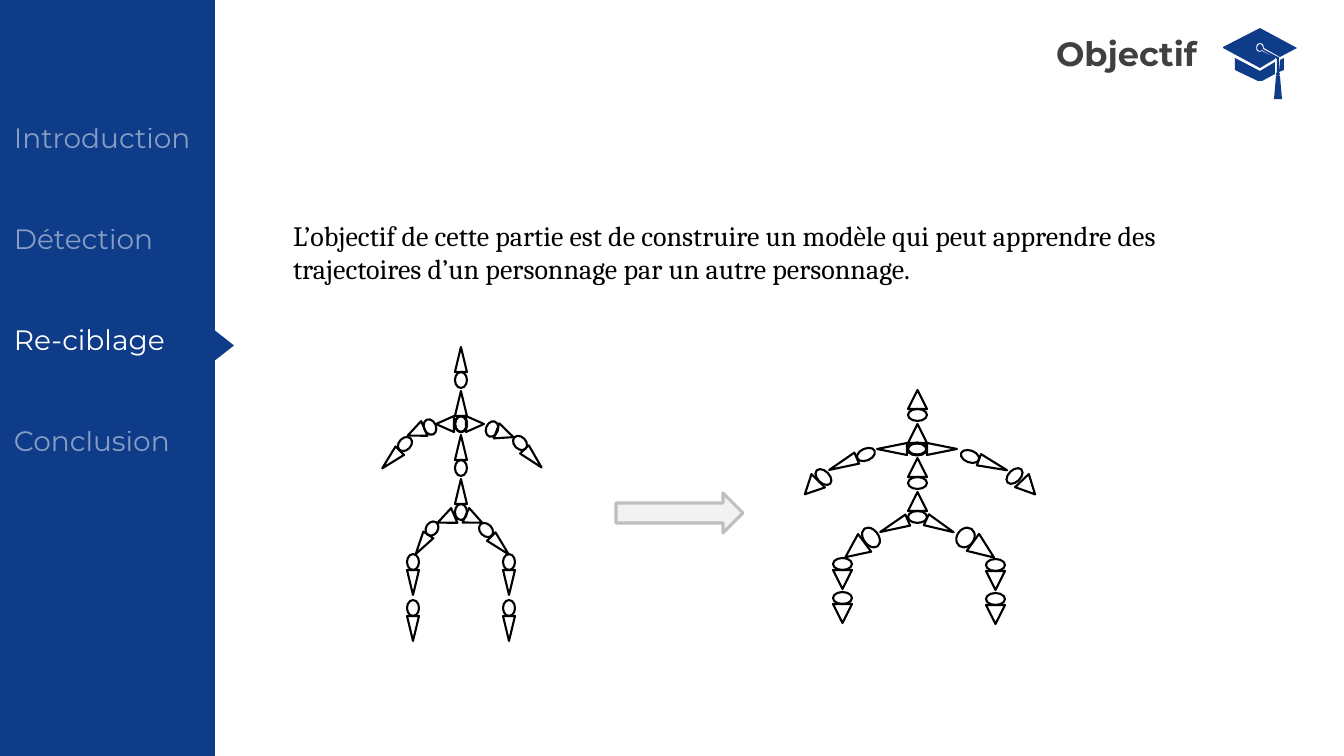
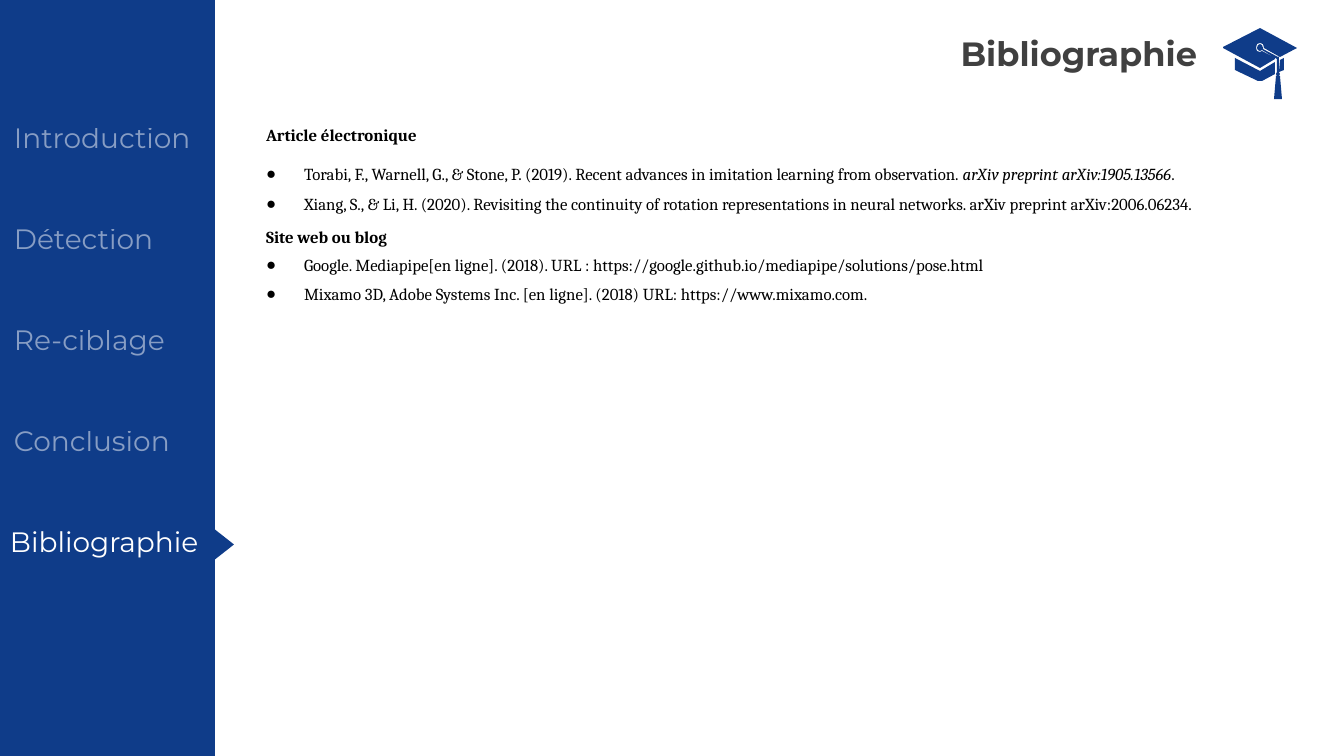
import pptx
import pptx.util
import pptx.dml.color
import pptx.enum.shapes
import pptx.enum.text
import pptx.oxml.ns
import lxml.etree

Pt = pptx.util.Pt
KIND = pptx.enum.shapes.MSO_SHAPE
ALIGN = pptx.enum.text.PP_ALIGN
SCALE = 914400 / 100.8
HUES = {"blue": "0F3C89", "white": "FFFFFF", "dark": "404040", "black": "000000",
        "pale": "F2F2F2", "grey": "BFBFBF"}
TABS = [("Introduction", 4), ("Détection", 4), ("Re-ciblage", 4), ("Conclusion", 4),
        ("Bibliographie", 0)]
CAP = [
    [(1279, 72), (1284, 70), (1284, 58), (1280, 60)],
    [(1235, 58), (1235, 70), (1258, 81), (1260, 81), (1262, 81), (1275, 74),
     (1275, 62), (1260, 71)],
    [(1279, 57), (1278, 57), (1263, 49), (1263, 48), (1262, 45), (1260, 44),
     (1258, 45), (1257, 48), (1258, 50), (1260, 51), (1262, 50), (1277, 59)],
    [(1297, 48), (1260, 28), (1223, 47), (1223, 48), (1260, 68), (1275, 59),
     (1275, 58), (1262, 51), (1260, 52), (1257, 51), (1256, 48), (1257, 44),
     (1260, 43), (1263, 44), (1264, 48), (1280, 57)],
    [(1279, 57), (1279, 72), (1280, 74), (1279, 76), (1280, 76), (1282, 99),
     (1274, 99), (1276, 76), (1277, 76), (1276, 74), (1277, 72), (1277, 59)],
]
TALL = {
    "bone": (12, 16, 25),
    "spine": (455, 372, 44),
    "shins": [(503, 554, 46), (407, 554, 46)],
    "hips": [(114.6, 16, 18, 466, 510), (246.7, 16, 18, 438, 510)],
    "limbs": [
        (136.5, (12, 16, 25), (514, 435), (527, 446)),
        (110.5, (16, 12, 18), (484, 423), (497, 425)),
        (90, (16, 12, 18), (453, 418), (467, 415)),
        (246.8, (16, 12, 18), (422, 421), (408, 423)),
        (224.8, (12, 16, 25), (399, 436), (385, 447)),
        (270, (16, 12, 18), (453, 418), (437, 415)),
        (135.6, (12, 16, 25), (480, 522), (494, 533)),
        (213.4, (12, 15, 23), (426, 521), (416, 533)),
    ],
}
WIDE = {
    "bone": (19, 12, 19),
    "spine": (908, 409, 34),
    "shins": [(986, 559, 34), (833, 558, 34)],
    "hips": [(114.6, 12, 30, 934, 511), (246.7, 12, 30, 888, 511)],
    "limbs": [
        (136.5, (19, 12, 19), (1005, 470), (1019, 478)),
        (110.5, (12, 19, 30), (964, 447), (987, 450)),
        (90, (12, 19, 30), (911, 440), (936, 434)),
        (246.8, (12, 19, 30), (860, 445), (837, 449)),
        (224.8, (19, 12, 19), (814, 471), (802, 478)),
        (270, (12, 19, 30), (911, 439), (886, 434)),
        (125.8, (21, 17, 26), (955, 529), (973, 537)),
        (233.3, (22, 15, 24), (860, 530), (844, 538)),
    ],
}
FLAT = {"space_before": Pt(0), "space_after": Pt(0)}
HEAD = {"line_spacing": 1.2, "space_before": Pt(6), "space_after": Pt(6)}
FIRST = {**HEAD, "space_before": Pt(0)}
PAPER = {**FLAT, "alignment": ALIGN.JUSTIFY, "line_spacing": 1.5}
SITE = {**FLAT, "alignment": ALIGN.JUSTIFY, "space_after": Pt(6)}
LAST = {**SITE, "alignment": ALIGN.LEFT}
BOLD = {"bold": True}
WORKS = [
    (FIRST, 50, None, [("Article électronique", BOLD)]),
    (PAPER, 38, "●", [
        ("Torabi, F., Warnell, G., & Stone, P. (2019). Recent advances in imitation learning from observation. ", {}),
        ("arXiv preprint arXiv:1905.13566", {"italic": True}),
        (".", {})]),
    (PAPER, 38, "●", [
        ("Xiang, S., & Li, H. (2020). Revisiting the continuity of rotation representations in neural networks. arXiv preprint arXiv:2006.06234.", {})]),
    (HEAD, 50, None, [("Site web ou blog", BOLD)]),
    (SITE, 38, "●", [
        ("Google. Mediapipe[en ligne]. (2018). URL : https://google.github.io/mediapipe/solutions/pose.html", {})]),
    (LAST, 38, "●", [
        ("Mixamo 3D, Adobe Systems Inc. [en ligne]. (2018) URL: https://www.mixamo.com.", {})]),
]
GOAL = [(FLAT, 0, None, [
    ("L’objectif de cette partie est de construire un modèle qui peut apprendre des trajectoires d’un personnage par un autre personnage.", {})])]


def px(num):
    return pptx.util.Emu(round(num * SCALE))


def put(item, form):
    for name, value in form.items():
        setattr(item, name, value)


def hue(name):
    return pptx.dml.color.RGBColor.from_string(HUES[name])


def child(node, tag, **attrs):
    return lxml.etree.SubElement(node, pptx.oxml.ns.qn(tag), attrs)


class Deck:
    def __init__(self):
        self.show = pptx.Presentation()
        put(self.show, {"slide_width": px(1344), "slide_height": px(756)})

    def page(self, title, count, now, mark):
        self.slide = self.show.slides.add_slide(self.show.slide_layouts[1])
        self.cap()
        self.shape(KIND.RECTANGLE, (0, 0, 215, 756), "blue")
        self.shape(KIND.ISOSCELES_TRIANGLE, (207, mark, 33, 21), "blue", turn=90)
        for row, (name, left) in enumerate(TABS[:count]):
            self.tab(name, left, 116 + 101 * row, row == now)
        self.title(title)

    def place(self, item, box):
        put(item, dict(zip(("left", "top", "width", "height"), map(px, box))))

    def frame(self, item):
        put(item.text_frame, {
            "word_wrap": True,
            "auto_size": pptx.enum.text.MSO_AUTO_SIZE.NONE,
            "vertical_anchor": pptx.enum.text.MSO_ANCHOR.TOP})
        return item.text_frame

    def run(self, para, text, face, size, tone, form):
        run = para.add_run()
        run.text = text
        put(run.font, {"name": face, "size": Pt(size), **form})
        run.font.color.rgb = hue(tone)
        return run

    def title(self, text):
        item = self.slide.shapes.title
        self.place(item, (900, 28, 307, 50))
        para = self.frame(item).paragraphs[0]
        put(para, {**FLAT, "alignment": ALIGN.RIGHT})
        self.run(para, text, "Montserrat", 24, "dark", BOLD)

    def tab(self, text, left, top, live):
        item = self.slide.shapes.add_textbox(*map(px, (left, top, 234, 44)))
        para = self.frame(item).paragraphs[0]
        run = self.run(para, text, "Montserrat", 20, "white", {})
        if not live:
            tint = run.font.fill._xPr.find(".//" + pptx.oxml.ns.qn("a:srgbClr"))
            child(tint, "a:alpha", val="50000")

    def body(self, box, size, rows):
        item = self.slide.placeholders[1]
        self.place(item, box)
        frame = self.frame(item)
        for row, (form, hang, dot, parts) in enumerate(rows):
            para = frame.add_paragraph() if row else frame.paragraphs[0]
            props = para._p.get_or_add_pPr()
            props.set("marL", str(px(hang)))
            props.set("indent", str(-px(hang)))
            if dot:
                child(props, "a:buChar", char=dot)
            else:
                child(props, "a:buNone")
            put(para, form)
            for text, look in parts:
                self.run(para, text, "Cambria", size, "black", look)

    def paint(self, item, fill, line=None, width=1.5):
        item.shadow.inherit = False
        if fill:
            item.fill.solid()
            item.fill.fore_color.rgb = hue(fill)
        else:
            item.fill.background()
        if line:
            item.line.color.rgb = hue(line)
            item.line.width = Pt(width)
        else:
            item.line.fill.background()

    def shape(self, kind, box, fill=None, line=None, width=1.5, turn=0):
        item = self.slide.shapes.add_shape(kind, *map(px, box))
        item.rotation = turn
        self.paint(item, fill, line, width)

    def cap(self):
        draw = self.slide.shapes.build_freeform(*CAP[0][0], scale=SCALE)
        for part in CAP:
            draw.move_to(*part[0])
            draw.add_line_segments(part[1:], close=True)
        self.paint(draw.convert_to_shape(), "blue")

    def joint(self, box, turn):
        self.shape(KIND.OVAL, box, line="black", turn=turn)

    def spike(self, box, turn):
        self.shape(KIND.ISOSCELES_TRIANGLE, box, line="black", turn=turn)

    def bone(self, turn, size, ball, tip):
        wide, round_, long_ = size
        self.joint((*ball, wide, round_), turn)
        self.spike((*tip, wide, long_), turn)

    def figure(self, form):
        size = form["bone"]
        left, top, step = form["spine"]
        for row in range(4):
            y = top + row * step
            self.bone(0, size, (left, y), (left, y - size[2]))
        for left, top, step in form["shins"]:
            for y in (top, top + step):
                self.bone(180, size, (left, y), (left, y + size[1]))
        for turn, wide, high, left, top in form["hips"]:
            self.spike((left, top, wide, high), turn)
        for limb in form["limbs"]:
            self.bone(*limb)


def main():
    deck = Deck()
    deck.page("Objectif", 4, 2, 335)
    deck.body((283, 213, 1014, 78), 20, GOAL)
    deck.figure(WIDE)
    deck.figure(TALL)
    deck.shape(KIND.RIGHT_ARROW, (616, 493, 127, 40), "pale", "grey", 2.25)
    deck.page("Bibliographie", 5, 4, 534)
    deck.body((256, 116, 991, 195), 12, WORKS)
    deck.show.save("out.pptx")


if __name__ == "__main__":
    main()
